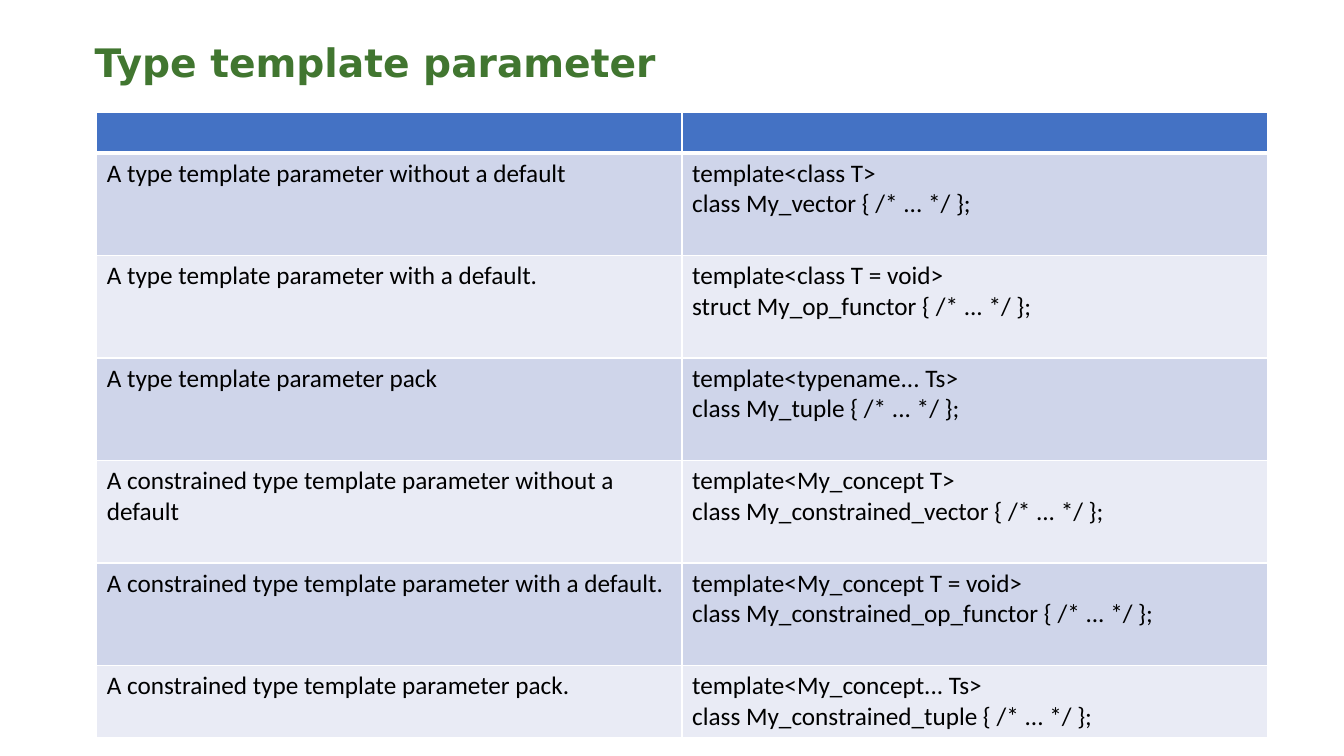
import pptx
import pptx.dml.color
import pptx.enum.text
import pptx.oxml
import pptx.oxml.ns
import pptx.util

GREEN, BLUE, WHITE, BLACK = "417630", "4472C4", "FFFFFF", "000000"
BANDS = ("CFD5EA", "E9EBF5")
HEADER_HEIGHT, ROW_HEIGHT, LAST_HEIGHT = 0.4, 1.02, 0.72

PARAMETERS = [
    ("A type template parameter without a default",
     "template<class T>\nclass My_vector { /* ... */ };"),
    ("A type template parameter with a default.",
     "template<class T = void>\nstruct My_op_functor { /* ... */ };"),
    ("A type template parameter pack",
     "template<typename... Ts>\nclass My_tuple { /* ... */ };"),
    ("A constrained type template parameter without a default",
     "template<My_concept T>\nclass My_constrained_vector { /* ... */ };"),
    ("A constrained type template parameter with a default.",
     "template<My_concept T = void>\nclass My_constrained_op_functor { /* ... */ };"),
    ("A constrained type template parameter pack.",
     "template<My_concept... Ts>\nclass My_constrained_tuple { /* ... */ };"),
]


def color(value):
    return pptx.dml.color.RGBColor.from_string(value)


def style(paragraph, face, size, value, bold=False):
    font = paragraph.font
    font.name, font.size, font.bold = face, pptx.util.Pt(size), bold
    font.color.rgb = color(value)


def border(cell, widths):
    properties = cell._tc.get_or_add_tcPr()
    for position, (side, width) in enumerate(widths.items()):
        line = pptx.oxml.parse_xml(
            f'<a:ln{side} {pptx.oxml.ns.nsdecls("a")} w="{pptx.util.Pt(width)}">'
            f'<a:solidFill><a:srgbClr val="{WHITE}"/></a:solidFill></a:ln{side}>')
        properties.insert(position, line)


def add_title(slide, box, wording):
    title = slide.shapes.add_textbox(*box).text_frame
    title.word_wrap = True
    title.vertical_anchor = pptx.enum.text.MSO_ANCHOR.BOTTOM
    title.text = wording
    heading = title.paragraphs[0]
    heading.line_spacing = 0.9
    style(heading, "DejaVu Sans", 28, GREEN, True)


def add_parameter_table(slide, box, parameters):
    entries = [("", ""), *parameters]
    table = slide.shapes.add_table(len(entries), 2, *box).table
    heights = [HEADER_HEIGHT] + [ROW_HEIGHT] * (len(parameters) - 1) + [LAST_HEIGHT]
    unit = box[3] / sum(heights)
    for index, (entry, height) in enumerate(zip(entries, heights)):
        table.rows[index].height = int(unit * height)
        for column, wording in enumerate(entry):
            cell = table.cell(index, column)
            cell.text = wording
            for paragraph in cell.text_frame.paragraphs:
                style(paragraph, "Calibri", 18, BLACK if index else WHITE, not index)
            cell.fill.solid()
            cell.fill.fore_color.rgb = color(BANDS[(index - 1) % 2] if index else BLUE)
            border(cell, {"L": 1, "R": 1, "T": 3 if index == 1 else 1,
                          "B": 1 if index else 3})


def main():
    deck = pptx.Presentation()
    deck.slide_width = pptx.util.Inches(13.33)
    deck.slide_height = pptx.util.Inches(7.5)

    def share(left, top, width, height):
        return (int(left * deck.slide_width), int(top * deck.slide_height),
                int(width * deck.slide_width), int(height * deck.slide_height))

    slide = deck.slides.add_slide(deck.slide_layouts[6])
    add_title(slide, share(0.063, 0.029, 0.874, 0.091), "Type template parameter")
    add_parameter_table(slide, share(0.072, 0.149, 0.871, 0.827), PARAMETERS)
    deck.save("out.pptx")


main()
